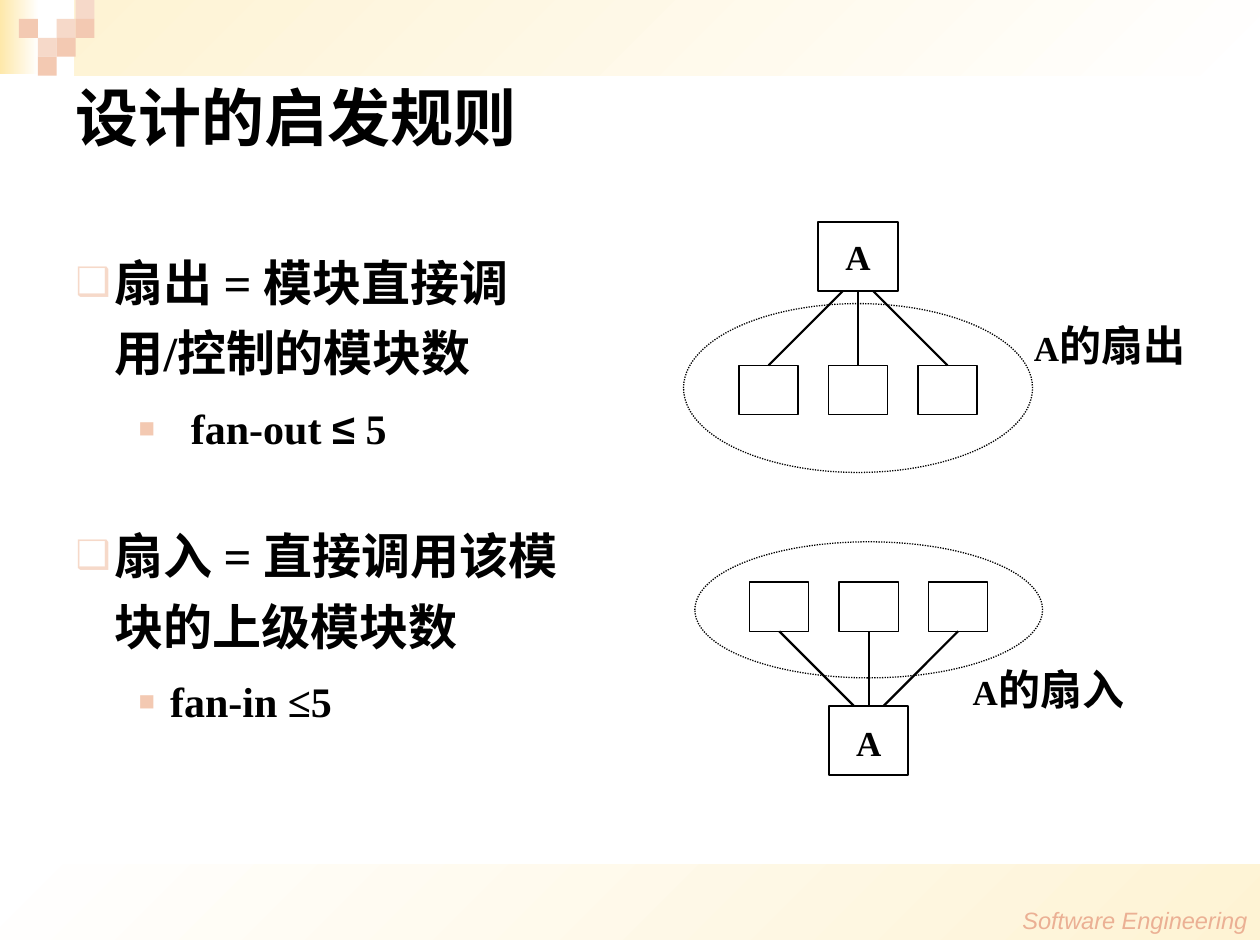
from dataclasses import dataclass

from lxml import etree
from pptx import Presentation
from pptx import util as u
from pptx.dml.color import RGBColor
from pptx.enum import dml, shapes, text
from pptx.oxml import ns


@dataclass(frozen=True)
class Theme:
    ink: str = "000000"
    paper: str = "FFFFFF"
    cream: str = "FEF3D4"
    gold: str = "FEE8AA"
    blush: str = "F6D9C9"
    peach: str = "F3C9B2"
    clay: str = "EBB094"
    serif: str = "Times New Roman"
    sans: str = "Arial"
    title: int = 36
    topic: int = 28
    detail: int = 24
    node: int = 20
    footer: float = 13.5
    thick: float = 1.25
    thin: float = 0.75


THEME = Theme()


@dataclass
class Box:
    """An area on a grid of 100 columns by 75 rows."""
    left: float
    top: float
    width: float
    height: float

    @property
    def middle(self):
        return self.left + self.width / 2

    @property
    def bottom(self):
        return self.top + self.height

    def lengths(self):
        return [cells(n) for n in (self.left, self.top, self.width, self.height)]


def cells(count):
    return u.Inches(count / 10)


def rgb(colour):
    return RGBColor.from_string(colour)


def write(para, words, size, font=THEME.serif, colour=THEME.ink, bold=True, italic=False):
    span = para.add_run()
    span.text = words
    style = span.font
    style.size, style.name, style.bold, style.italic = u.Pt(size), font, bold, italic
    style.color.rgb = rgb(colour)


def set_frame(frame, side=1, upright=0.5, anchor=text.MSO_ANCHOR.TOP):
    frame.word_wrap = True
    frame.auto_size = text.MSO_AUTO_SIZE.NONE
    frame.vertical_anchor = anchor
    frame.margin_left = frame.margin_right = cells(side)
    frame.margin_top = frame.margin_bottom = cells(upright)


def add_part(page, box, kind=shapes.MSO_SHAPE.RECTANGLE, fill=None, weight=None):
    part = page.shapes.add_shape(kind, *box.lengths())
    part.shadow.inherit = False
    if fill:
        part.fill.solid()
        part.fill.fore_color.rgb = rgb(fill)
    else:
        part.fill.background()
    if weight:
        part.line.color.rgb = rgb(THEME.ink)
        part.line.width = u.Pt(weight)
    else:
        part.line.fill.background()
    return part


def add_band(page, box, colour, angle):
    band = add_part(page, box)
    band.fill.gradient()
    band.fill.gradient_angle = angle
    for stop, shade, place in zip(band.fill.gradient_stops, (THEME.paper, colour), (0, 1)):
        stop.color.rgb = rgb(shade)
        stop.position = place


def add_line(page, start, end):
    line = page.shapes.add_connector(
        shapes.MSO_CONNECTOR.STRAIGHT, *[cells(n) for n in (*start, *end)])
    line.line.color.rgb = rgb(THEME.ink)
    line.line.width = u.Pt(THEME.thick)
    etree.SubElement(line._element.spPr, ns.qn("a:effectLst"))
    return line


def add_bullet(para, mark, colour, percent, left, hang):
    props = para._p.get_or_add_pPr()
    props.set("marL", str(cells(left)))
    props.set("indent", str(-cells(hang)))
    tint = etree.SubElement(props, ns.qn("a:buClr"))
    etree.SubElement(tint, ns.qn("a:srgbClr"), val=colour)
    etree.SubElement(props, ns.qn("a:buSzPct"), val=str(percent * 1000))
    etree.SubElement(props, ns.qn("a:buFont"), typeface=THEME.sans)
    etree.SubElement(props, ns.qn("a:buChar"), char=mark)


def backdrop(page, box):
    # Gradient bands at the bottom and top
    add_band(page, Box(box.left, 68.6, box.width, 6), THEME.cream, 315)
    add_band(page, Box(5.9, box.top, box.width - 5.9, 6), THEME.cream, 135)
    add_band(page, Box(box.left, box.top, 3.1, 5.9), THEME.gold, 180)
    # Mosaic of small squares, by column and row
    side = 1.5
    for colour, places in ((THEME.blush, ((3, 1), (4, 0), (2, 2))),
                           (THEME.peach, ((4, 1), (1, 1), (3, 2), (2, 3)))):
        for column, row in places:
            add_part(page, Box(column * side, row * side, side, side), fill=colour)
    # Course name
    footer = page.shapes.add_textbox(*Box(75, 71.4, 24, 3.2).lengths()).text_frame
    set_frame(footer, 0, 0, text.MSO_ANCHOR.MIDDLE)
    footer.paragraphs[0].alignment = text.PP_ALIGN.RIGHT
    write(footer.paragraphs[0], "Software Engineering", THEME.footer,
          THEME.sans, THEME.clay, bold=False, italic=True)


def heading(page, box, words):
    title = page.shapes.title
    title.left, title.top, title.width, title.height = box.lengths()
    set_frame(title.text_frame, anchor=text.MSO_ANCHOR.MIDDLE)
    para = title.text_frame.paragraphs[0]
    para.alignment = text.PP_ALIGN.LEFT
    write(para, words, THEME.title)


def rules(page, box, items):
    body = page.placeholders[1]
    body.left, body.top, body.width, body.height = box.lengths()
    frame = body.text_frame
    set_frame(frame)
    for number, (level, before, hang, spans) in enumerate(items):
        para = frame.add_paragraph() if number else frame.paragraphs[0]
        para.level, para.line_spacing, para.space_before = level, 1.2, u.Pt(before)
        if level:
            add_bullet(para, "■", THEME.peach, 65, 10 + hang, hang)
        else:
            add_bullet(para, "❑", THEME.blush, 80, 5 + hang, hang)
        for words, font in spans:
            write(para, words, THEME.detail if level else THEME.topic, font)


def fan(page, box, oval_height, spacing, parent_above):
    wide, tall, child_wide, child_tall, gap = 6.3, 5.5, 4.7, 3.9, 5.9
    parent_top = box.top if parent_above else box.bottom - tall
    child_top = parent_top + (tall + gap if parent_above else -gap - child_tall)
    parent_edge = parent_top + (tall if parent_above else 0)
    child_edge = child_top + (0 if parent_above else child_tall)
    parent_side, child_side = (2, 0) if parent_above else (0, 2)
    # Module A
    parent = add_part(page, Box(box.middle - wide / 2, parent_top, wide, tall),
                      fill=THEME.paper, weight=THEME.thick)
    set_frame(parent.text_frame, 0.2, 0.4)
    para = parent.text_frame.paragraphs[0]
    para.alignment, para.line_spacing = text.PP_ALIGN.CENTER, spacing
    write(para, "A", THEME.node)
    # Linked modules
    for step in (-1, 0, 1):
        centre = box.middle + step * 7.1
        child = add_part(page, Box(centre - child_wide / 2, child_top, child_wide, child_tall),
                         fill=THEME.paper, weight=THEME.thin)
        line = add_line(page, (box.middle + step * 1.2, parent_edge), (centre, child_edge))
        if step == 0:
            line.begin_connect(parent, parent_side)
        line.end_connect(child, child_side)
    # Dotted outline round the linked modules
    oval_top = box.bottom - oval_height if parent_above else box.top
    oval = add_part(page, Box(box.left, oval_top, box.width, oval_height),
                    shapes.MSO_SHAPE.OVAL, weight=THEME.thin)
    oval.line.dash_style = dml.MSO_LINE.ROUND_DOT


def caption(page, box, words, upright, spacing):
    frame = page.shapes.add_textbox(*box.lengths()).text_frame
    set_frame(frame, 0.2, upright)
    para = frame.paragraphs[0]
    para.alignment, para.line_spacing = text.PP_ALIGN.JUSTIFY, spacing
    write(para, "A", THEME.node)
    write(para, words, THEME.detail)


def main():
    deck = Presentation()
    deck.slide_width, deck.slide_height = cells(100), cells(75)
    page = deck.slides.add_slide(deck.slide_layouts[1])
    backdrop(page, Box(0, 0, 100, 75))
    heading(page, Box(5, 1.7, 90, 15), "设计的启发规则")
    rules(page, Box(0, 18.6, 46.9, 49.2), (
        (0, 7, 3.1, [("扇出 = 模块直接调用/控制的模块数", THEME.serif)]),
        (1, 6, 4.15, [("fan-out ", THEME.serif), ("≤", THEME.sans), (" 5", THEME.serif)]),
        (0, 35, 3.1, [("扇入 = 直接调用该模块的上级模块数", THEME.serif)]),
        (1, 6, 2.5, [("fan-in ≤5", THEME.serif)]),
    ))
    fan(page, Box(54.25, 17.6, 27.7, 19.9), 13.4, 1.2, parent_above=True)
    caption(page, Box(81.85, 24.1, 14.6, 6.5), "的扇出", 0.5, 1.2)
    fan(page, Box(55.15, 43, 27.6, 18.5), 10.8, 1.25, parent_above=False)
    caption(page, Box(77, 51.7, 13.1, 4.3), "的扇入", 0, 1.25)
    deck.save("out.pptx")


if __name__ == "__main__":
    main()
